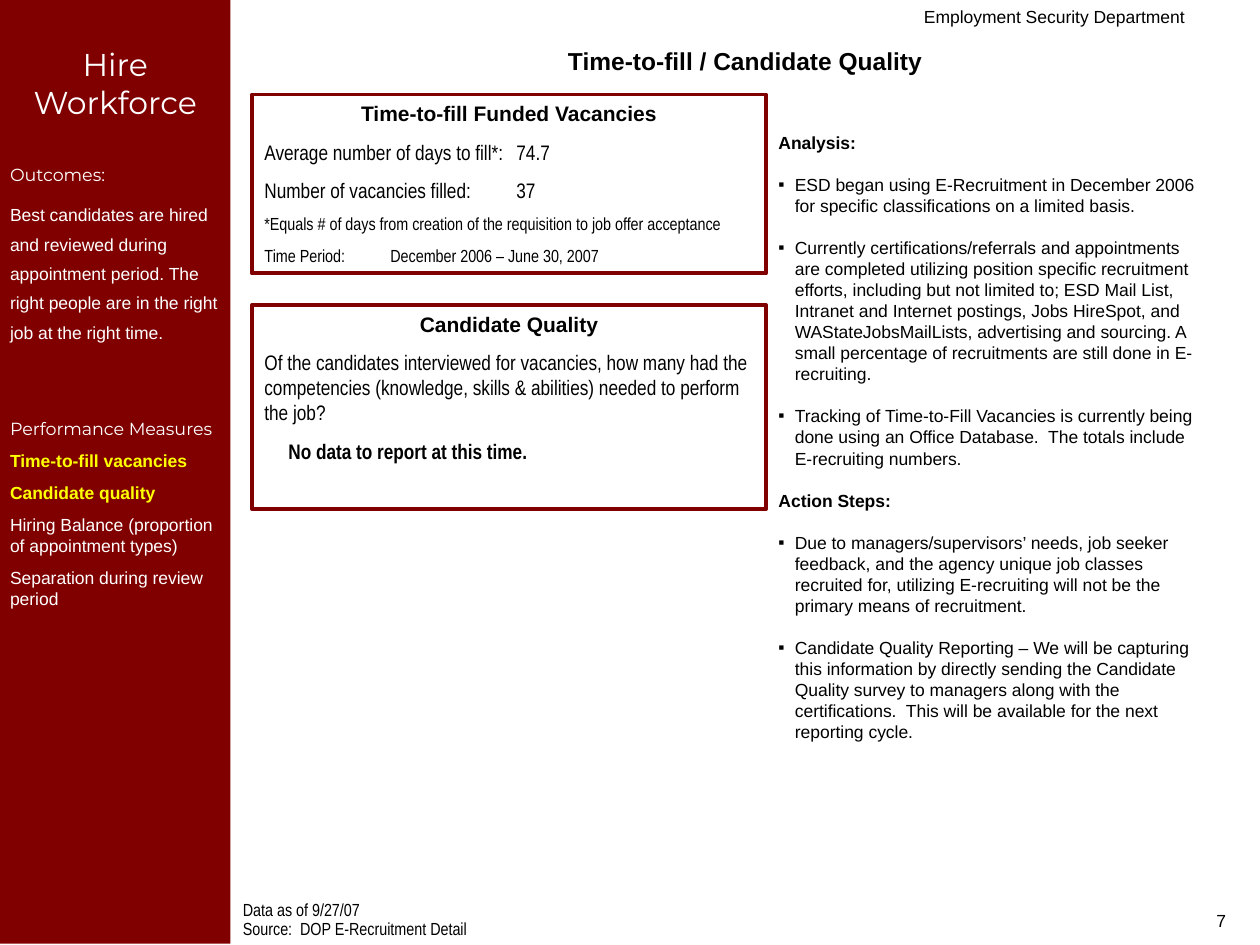
from lxml import etree
from pptx import Presentation
from pptx import util as u
from pptx.dml.color import RGBColor
from pptx.enum import shapes, text
from pptx.oxml.ns import qn

MAROON = RGBColor(0x80, 0x00, 0x00)
WHITE = RGBColor(0xFF, 0xFF, 0xFF)
YELLOW = RGBColor(0xFF, 0xFF, 0x00)
BLACK = RGBColor(0x00, 0x00, 0x00)
BODY, NARROW, DISPLAY = "Arial", "Arial Narrow", "Montserrat"
CENTER, RIGHT = text.PP_ALIGN.CENTER, text.PP_ALIGN.RIGHT


class Page:
    """The current slide and its house style."""

    def __init__(self, slide):
        self.slide = slide

    def prepare(self, frame, insets):
        frame.word_wrap = True
        frame.auto_size = text.MSO_AUTO_SIZE.NONE
        frame.vertical_anchor = text.MSO_ANCHOR.TOP
        (frame.margin_left, frame.margin_top,
         frame.margin_right, frame.margin_bottom) = map(u.Inches, insets)
        return frame

    def text_box(self, *place):
        box = self.slide.shapes.add_textbox(*map(u.Inches, place))
        return self.prepare(box.text_frame, (0.1, 0.05, 0.1, 0.05))

    def panel(self, *place, fill=None, insets=(0.1, 0.05, 0.1, 0.05)):
        """A solid panel, or a framed one when no fill is given."""
        panel = self.slide.shapes.add_shape(
            shapes.MSO_SHAPE.RECTANGLE, *map(u.Inches, place))
        panel.shadow.inherit = False
        if fill is None:
            panel.fill.background()
            panel.line.color.rgb = MAROON
            panel.line.width = u.Pt(2.25)
        else:
            panel.fill.solid()
            panel.fill.fore_color.rgb = fill
            panel.line.fill.background()
        return self.prepare(panel.text_frame, insets)

    def line(self, frame, words, size=10, font=BODY, color=BLACK, bold=False,
             align=text.PP_ALIGN.LEFT, before=0, spacing=None,
             indent=0, hanging=0, bullet=None, tab=None):
        """Add a paragraph; the first one reuses the frame's own."""
        first = not frame.paragraphs[0].runs
        para = frame.paragraphs[0] if first else frame.add_paragraph()
        para.alignment = align
        para.space_before = u.Pt(0 if first else before)
        if spacing:
            para.line_spacing = spacing
        props = para._p.get_or_add_pPr()
        props.set("marL", str(u.Inches(indent)))
        props.set("indent", str(-u.Inches(hanging)))
        if bullet:
            etree.SubElement(props, qn("a:buFont"), typeface=BODY)
            etree.SubElement(props, qn("a:buChar"), char=bullet)
        if tab:
            stops = etree.SubElement(props, qn("a:tabLst"))
            position, side = tab
            etree.SubElement(stops, qn("a:tab"), pos=str(u.Inches(position)), algn=side)
        run = para.add_run()
        run.text = words
        run.font.size = u.Pt(size)
        run.font.name = font
        run.font.bold = bold
        run.font.color.rgb = color


def build_sidebar(page):
    sidebar = page.panel(0, 0, 1.83, 7.49, fill=MAROON, insets=(0.08, 0.36, 0.08, 0.04))
    page.line(sidebar, "Hire Workforce", 18, DISPLAY, WHITE, align=CENTER)
    page.line(sidebar, "Outcomes:", 10, DISPLAY, WHITE, before=24.5)
    page.line(sidebar, "Best candidates are hired and reviewed during appointment period. "
              "The right people are in the right job at the right time.",
              color=WHITE, before=6.2, spacing=1.4)
    page.line(sidebar, "Performance Measures", 10, DISPLAY, WHITE, before=43)
    for measure, current in (
            ("Time-to-fill vacancies", True),
            ("Candidate quality", True),
            ("Hiring Balance (proportion of appointment types)", False),
            ("Separation during review period", False)):
        page.line(sidebar, measure, color=YELLOW if current else WHITE,
                  bold=current, before=6.2)


def build_analysis(page):
    sections = {
        "Analysis:": (
            "ESD began using E-Recruitment in December 2006 for specific "
            "classifications on a limited basis.",
            "Currently certifications/referrals and appointments are completed "
            "utilizing position specific recruitment efforts, including but not "
            "limited to; ESD Mail List, Intranet and Internet postings, "
            "Jobs HireSpot, and WAStateJobsMailLists, advertising and sourcing. "
            "A small percentage of recruitments are still done in E-recruiting.",
            "Tracking of Time-to-Fill Vacancies is currently being done using an "
            "Office Database.  The totals include E-recruiting numbers."),
        "Action Steps:": (
            "Due to managers/supervisors’ needs, job seeker feedback, and the "
            "agency unique job classes recruited for, utilizing E-recruiting "
            "will not be the primary means of recruitment.",
            "Candidate Quality Reporting – We will be capturing this information "
            "by directly sending the Candidate Quality survey to managers along "
            "with the certifications.  This will be available for the next "
            "reporting cycle."),
    }
    analysis = page.text_box(6.08, 1, 3.58, 5.57)
    for heading, points in sections.items():
        page.line(analysis, heading, bold=True, before=12)
        for point in points:
            page.line(analysis, point, before=12, indent=0.13, hanging=0.13, bullet="▪")


def build_measures(page):
    # Time to fill
    vacancies = page.panel(2, 0.75, 4.08, 1.42)
    page.line(vacancies, "Time-to-fill Funded Vacancies", 12, bold=True, align=CENTER)
    for label, value in (("Average number of days to fill*:", "74.7"),
                         ("Number of vacancies filled:", "37")):
        page.line(vacancies, f"{label}\t{value}", 12, NARROW, before=7.5, tab=(3.38, "r"))
    page.line(vacancies, "*Equals # of days from creation of the requisition to "
              "job offer acceptance", 10, NARROW, before=6.2)
    page.line(vacancies, "Time Period:\tDecember 2006 – June 30, 2007", 10, NARROW,
              before=6.2, tab=(0.73, "l"))

    # Candidate quality
    quality = page.panel(2, 2.42, 4.08, 1.62)
    page.line(quality, "Candidate Quality", 12, bold=True, align=CENTER)
    page.line(quality, "Of the candidates interviewed for vacancies, how many had the "
              "competencies (knowledge, skills & abilities) needed to perform the job?",
              12, NARROW, before=7.5)
    page.line(quality, "No data to report at this time.", 12, NARROW, bold=True,
              before=7.5, indent=0.19)


def build_header_and_footer(page):
    title = page.text_box(1.83, 0.32, 8.17, 0.34)
    page.line(title, "Time-to-fill / Candidate Quality", 14, bold=True, align=CENTER)
    department = page.text_box(4.5, 0, 5, 0.25)
    page.line(department, "Employment Security Department", align=RIGHT)
    source = page.text_box(1.83, 7.13, 4.83, 0.37)
    for note in ("Data as of 9/27/07", "Source:  DOP E-Recruitment Detail"):
        page.line(source, note, 10, NARROW, before=2.5, spacing=0.7)
    page_number = page.text_box(7.5, 7.17, 2.33, 0.33)
    page.line(page_number, "7", align=RIGHT)


def main():
    deck = Presentation()
    deck.slide_width, deck.slide_height = u.Inches(10), u.Inches(7.5)
    page = Page(deck.slides.add_slide(deck.slide_layouts[6]))
    build_sidebar(page)
    build_analysis(page)
    build_measures(page)
    build_header_and_footer(page)
    deck.save("out.pptx")


if __name__ == "__main__":
    main()
